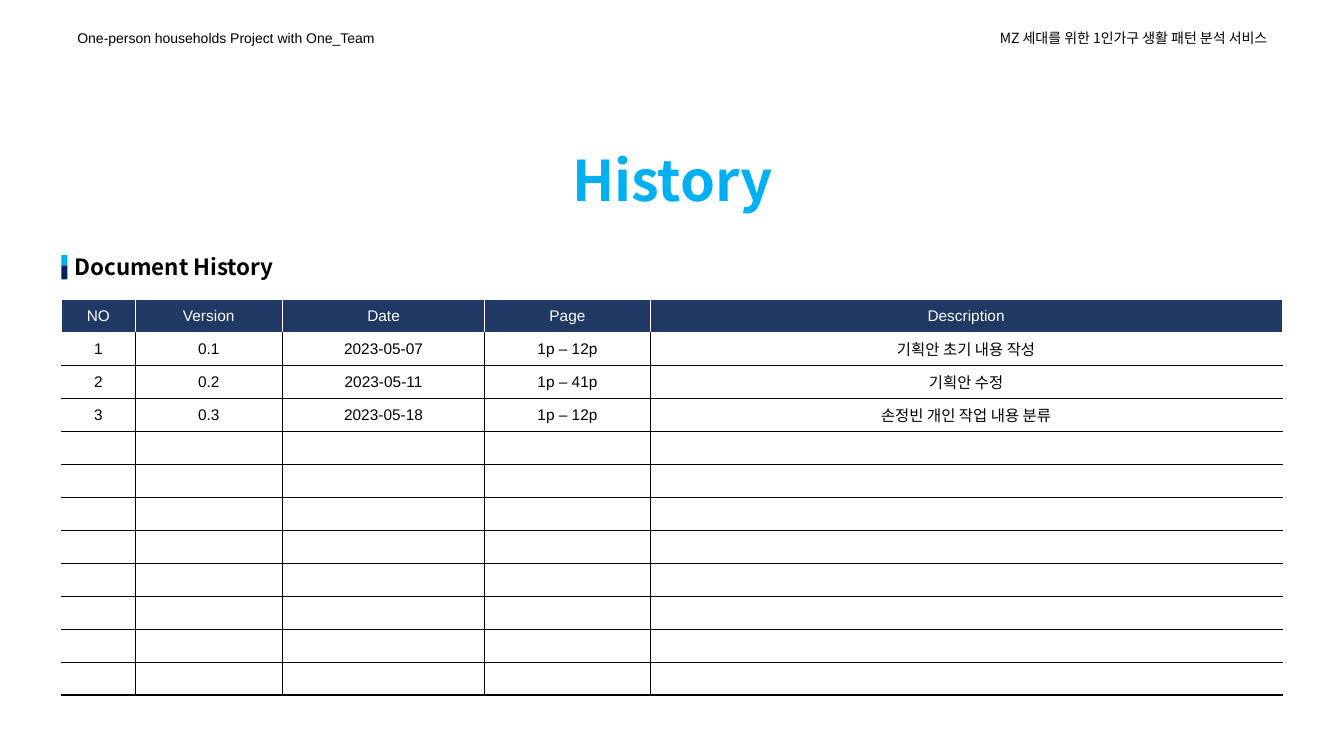
from lxml import etree
from pptx import Presentation
from pptx.dml.color import RGBColor
from pptx.enum.shapes import MSO_SHAPE
from pptx.enum.text import MSO_ANCHOR, MSO_AUTO_SIZE, PP_ALIGN
from pptx.oxml.ns import qn
from pptx.util import Pt

LEFT, CENTER, RIGHT = PP_ALIGN.LEFT, PP_ALIGN.CENTER, PP_ALIGN.RIGHT
MIDDLE = MSO_ANCHOR.MIDDLE
FIT_SHAPE = MSO_AUTO_SIZE.SHAPE_TO_FIT_TEXT
RECTANGLE = MSO_SHAPE.RECTANGLE

ARIAL, NOTO = "Arial", "Noto Sans CJK KR"
BLACK, WHITE, SKY, NAVY, HEADER = "000000", "FFFFFF", "00B0F0", "002060", "203864"

COLUMN_WIDTHS = [52.6, 105.1, 144.7, 118.1, 451.4]
ROW_COUNT = 12
HISTORY = [
    ["NO", "Version", "Date", "Page", "Description"],
    ["1", "0.1", "2023-05-07", "1p – 12p", "기획안 초기 내용 작성"],
    ["2", "0.2", "2023-05-11", "1p – 41p", "기획안 수정"],
    ["3", "0.3", "2023-05-18", "1p – 12p", "손정빈 개인 작업 내용 분류"],
]


def color(value):
    """Turn a hex string into a colour."""
    return RGBColor.from_string(value)


def style_paragraph(paragraph, size, face, ink, align, bold=False):
    """Set the font and alignment of a whole paragraph."""
    paragraph.alignment = align
    font = paragraph.font
    font.size, font.name, font.bold = Pt(size), face, bold
    font.color.rgb = color(ink)
    etree.SubElement(font._rPr, qn("a:ea"), typeface=NOTO)


def add_label(shapes, box, text, size, face, ink, align=LEFT, bold=False):
    """Place one line of text in a box."""
    frame = shapes.add_textbox(*map(Pt, box)).text_frame
    frame.word_wrap = True
    frame.auto_size = FIT_SHAPE
    frame.vertical_anchor = MIDDLE
    frame.text = text
    style_paragraph(frame.paragraphs[0], size, face, ink, align, bold)


def add_page_header(slide, left, top, width, height):
    """Place the project name on the left and the service name on the right."""
    label_width = 257.8
    add_label(slide.shapes, (left, top, label_width, height),
              "One-person households Project with One_Team", 10, ARIAL, BLACK)
    add_label(slide.shapes, (left + width - label_width, top, label_width, height),
              "MZ 세대를 위한 1인가구 생활 패턴 분석 서비스", 10, NOTO, BLACK, RIGHT)


def add_section_heading(slide, left, top, width, height):
    """Place the section heading with its two-tone marker."""
    shapes = slide.shapes.add_group_shape().shapes
    marker_top = top + 5.2
    for marker_height, ink in ((7.2, SKY), (10, NAVY)):
        marker = shapes.add_shape(RECTANGLE, Pt(left), Pt(marker_top), Pt(4.3), Pt(marker_height))
        marker.shadow.inherit = False
        marker.fill.solid()
        marker.fill.fore_color.rgb = color(ink)
        marker.line.fill.background()
        marker_top += marker_height
    add_label(shapes, (left + 2.2, top, width, height),
              "Document History", 16, NOTO, BLACK, bold=True)


def add_border(cell, side, ink, weight):
    """Draw one border of a cell."""
    line = etree.SubElement(cell._tc.get_or_add_tcPr(), qn(f"a:ln{side}"), w=str(Pt(weight)))
    fill = etree.SubElement(line, qn("a:solidFill"))
    etree.SubElement(fill, qn("a:srgbClr"), val=ink)


def style_cell(cell, row, column):
    """Set the borders, fill and text style by the cell's place in the table."""
    is_header = row == 0
    grid_ink = WHITE if is_header else BLACK
    if column > 0:
        add_border(cell, "L", grid_ink, 0.75)
    if column < len(COLUMN_WIDTHS) - 1:
        add_border(cell, "R", grid_ink, 0.75)
    add_border(cell, "T", WHITE if row <= 1 else BLACK, 0.75)
    add_border(cell, "B", grid_ink, 1.5 if row == ROW_COUNT - 1 else 0.75)
    cell.fill.solid()
    cell.fill.fore_color.rgb = color(HEADER if is_header else WHITE)
    cell.vertical_anchor = MIDDLE
    paragraph = cell.text_frame.paragraphs[0]
    style_paragraph(paragraph, 11, ARIAL, WHITE if is_header else BLACK, CENTER)
    paragraph._p.get_or_add_endParaRPr().set("sz", "1100")


def add_history_table(slide, left, top, width, height):
    """Place the version table with its empty rows."""
    frame = slide.shapes.add_table(ROW_COUNT, len(COLUMN_WIDTHS),
                                   Pt(left), Pt(top), Pt(width), Pt(height))
    table = frame.table
    table.first_row = table.horz_banding = False
    for column, column_width in zip(table.columns, COLUMN_WIDTHS):
        column.width = Pt(column_width)
    for row, table_row in enumerate(table.rows):
        table_row.height = Pt(height / ROW_COUNT)
        for column, cell in enumerate(table_row.cells):
            if row < len(HISTORY):
                cell.text = HISTORY[row][column]
            style_cell(cell, row, column)


def main():
    """Build the document history slide."""
    deck = Presentation()
    deck.slide_width, deck.slide_height = Pt(960), Pt(540)
    slide = deck.slides.add_slide(deck.slide_layouts[6])
    add_page_header(slide, 48.2, 17.3, 864, 19.4)
    add_history_table(slide, 44, 214, sum(COLUMN_WIDTHS), 283)
    add_section_heading(slide, 43.9, 177.1, 285.8, 26.6)
    add_label(slide.shapes, (367.2, 100.1, 226, 55.4), "History", 40, NOTO, SKY, CENTER, True)
    deck.save("out.pptx")


if __name__ == "__main__":
    main()
